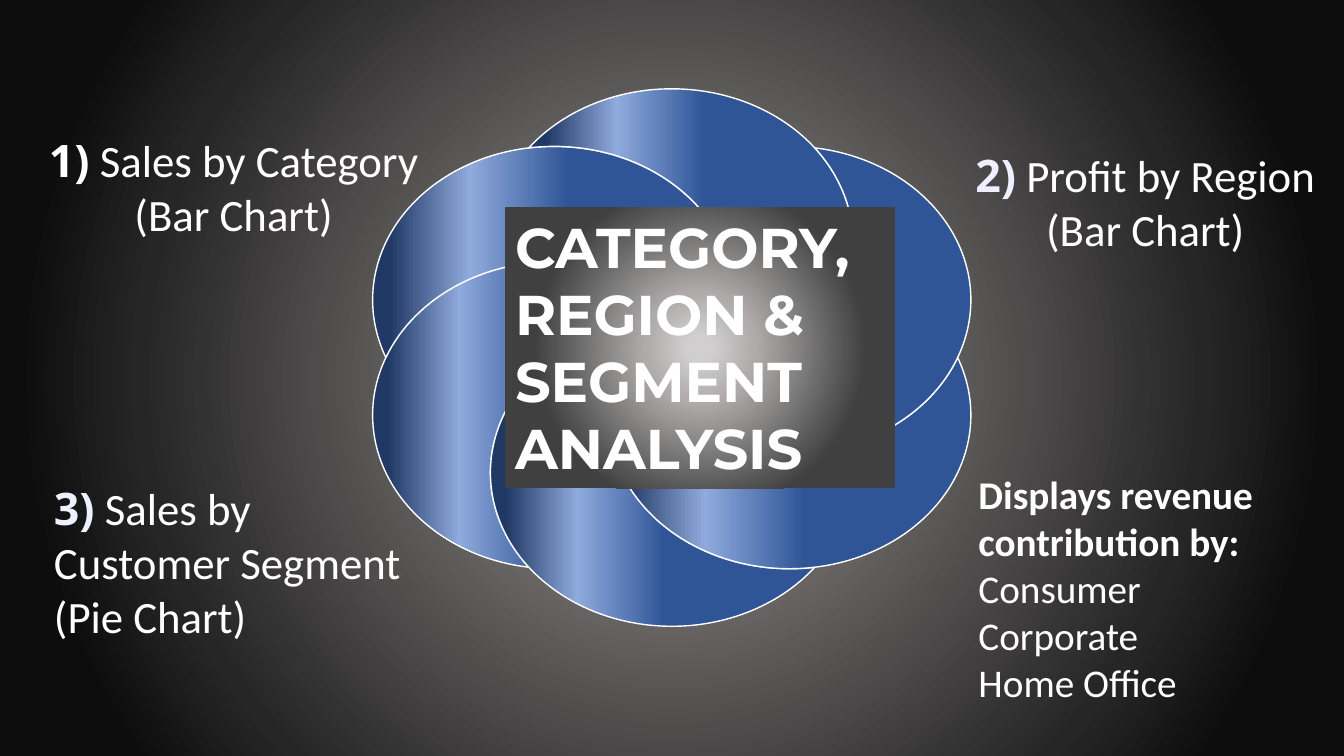
import math
import pptx
import pptx.util
import pptx.dml.color
import pptx.enum.shapes
import pptx.enum.text
import pptx.oxml
import pptx.oxml.ns

Cm = pptx.util.Cm
Pt = pptx.util.Pt
Rgb = pptx.dml.color.RGBColor.from_string
Align = pptx.enum.text.PP_ALIGN
qn = pptx.oxml.ns.qn


class Theme:
    white = "FFFFFF"
    pale = "EEF0FF"
    body = "Calibri"
    mark = "Open Sans"
    head = "Montserrat"
    item = Pt(32)
    note = Pt(28)
    title = Pt(40)
    line = Pt(1)
    back = [(5, "767171"), (23, "767171"), (69, "262626"), (85, "0D0D0D")]
    petal = [(46, "2F5597"), (73, "8FAADC"), (95, "203864")]
    panel = [(5, "D0CECE"), (23, "AFABAB"), (69, "404040")]


LINEAR = '<a:lin ang="10800000" scaled="0"/>'
RADIAL = ('<a:path path="circle"><a:fillToRect l="50000" t="50000" '
          'r="50000" b="50000"/></a:path>')


def shade(fill, root, stops, form):
    fill.gradient()
    grad = next(root.iter(qn("a:gradFill")))
    marks = "".join(
        f'<a:gs pos="{pos * 1000}"><a:srgbClr val="{color}"/></a:gs>'
        for pos, color in stops)
    fresh = pptx.oxml.parse_xml(
        f'<a:gradFill {pptx.oxml.ns.nsdecls("a")} rotWithShape="1">'
        f'<a:gsLst>{marks}</a:gsLst>{form}</a:gradFill>')
    grad.getparent().replace(grad, fresh)


deck = pptx.Presentation()
deck.slide_width, deck.slide_height = Cm(33.87), Cm(19.05)
slide = deck.slides.add_slide(deck.slide_layouts[6])
shapes = slide.shapes
shade(slide.background.fill, slide._element, Theme.back, RADIAL)

MID_X, MID_Y = 16.93, 9.01
RAD_X, RAD_Y = 4.57, 3.87
REACH = 0.75
TURN = 60
HALF = math.degrees(math.acos(REACH / 2))


def arc(index, start, sweep, parts):
    hub = math.radians(-90 - index * TURN)
    step = math.radians(sweep) / parts
    pull = 4 / 3 * math.tan(step / 4)
    points = []
    for part in range(parts):
        head = math.radians(start) + part * step
        tail = head + step
        for angle, lean in ((head, pull), (tail, -pull), (tail, 0)):
            across = math.cos(angle) - lean * math.sin(angle)
            down = math.sin(angle) + lean * math.cos(angle)
            points.append(
                (Cm(MID_X + RAD_X * (REACH * math.cos(hub) + across)),
                 Cm(MID_Y + RAD_Y * (REACH * math.sin(hub) + down))))
    return points


for index in (2, 3, 1, 4, 0, 5):
    aim = 150 - index * TURN
    outer = arc(index, aim + HALF, 360 - 2 * HALF, 8)
    inner = arc(index + 1, aim + 180 + HALF, -2 * HALF, 4)
    pen = shapes.build_freeform(*inner[-1], scale=1.0)
    pen.add_line_segments(outer + inner, close=True)
    petal = pen.convert_to_shape()
    sides = list(petal._element.iter(qn("a:lnTo")))
    for first, second, third in zip(sides[::3], sides[1::3], sides[2::3]):
        curve = pptx.oxml.parse_xml(
            f'<a:cubicBezTo {pptx.oxml.ns.nsdecls("a")}/>')
        first.addprevious(curve)
        for side in (first, second, third):
            curve.append(side[0])
            side.getparent().remove(side)
    petal.shadow.inherit = False
    shade(petal.fill, petal._element, Theme.petal, LINEAR)
    petal.line.color.rgb = Rgb(Theme.white)
    petal.line.width = Theme.line

items = [
    (0.89, 3.23, 10, 3, Align.CENTER, Theme.white, "1)",
     " Sales by Category (Bar Chart)"),
    (24.23, 3.61, 9.27, 3, Align.CENTER, Theme.pale, "2)",
     " Profit by Region (Bar Chart)"),
    (1.11, 11.99, 9.75, 4.37, Align.LEFT, Theme.pale, "3)",
     " Sales by Customer Segment (Pie Chart)"),
]
for left, top, width, height, align, color, mark, label in items:
    box = shapes.add_textbox(Cm(left), Cm(top), Cm(width), Cm(height))
    box.text_frame.word_wrap = True
    para = box.text_frame.paragraphs[0]
    para.alignment = align
    para.font.size = Theme.item
    for text, face, tint, bold in ((mark, Theme.mark, color, True),
                                   (label, Theme.body, Theme.white, False)):
        run = para.add_run()
        run.text = text
        run.font.name = face
        run.font.bold = bold
        run.font.color.rgb = Rgb(tint)

notes = shapes.add_textbox(Cm(24.41), Cm(11.73), Cm(9.4), Cm(7.3))
panel = shapes.add_shape(pptx.enum.shapes.MSO_SHAPE.RECTANGLE,
                         Cm(12.73), Cm(5.22), Cm(9.83), Cm(7.09))
panel.shadow.inherit = False
panel.line.fill.background()
shade(panel.fill, panel._element, Theme.panel, RADIAL)

blocks = [
    (notes, Theme.body, Theme.note,
     ["Displays revenue contribution by:", "Consumer", "Corporate",
      "Home Office"]),
    (panel, Theme.head, Theme.title, ["CATEGORY, REGION & SEGMENT ANALYSIS"]),
]
for shape, face, size, lines in blocks:
    frame = shape.text_frame
    frame.word_wrap = True
    frame.vertical_anchor = pptx.enum.text.MSO_ANCHOR.TOP
    frame.text = "\n".join(lines)
    for order, para in enumerate(frame.paragraphs):
        para.alignment = Align.LEFT
        para.font.name = face
        para.font.size = size
        para.font.bold = order == 0
        para.font.color.rgb = Rgb(Theme.white)

deck.save("out.pptx")
